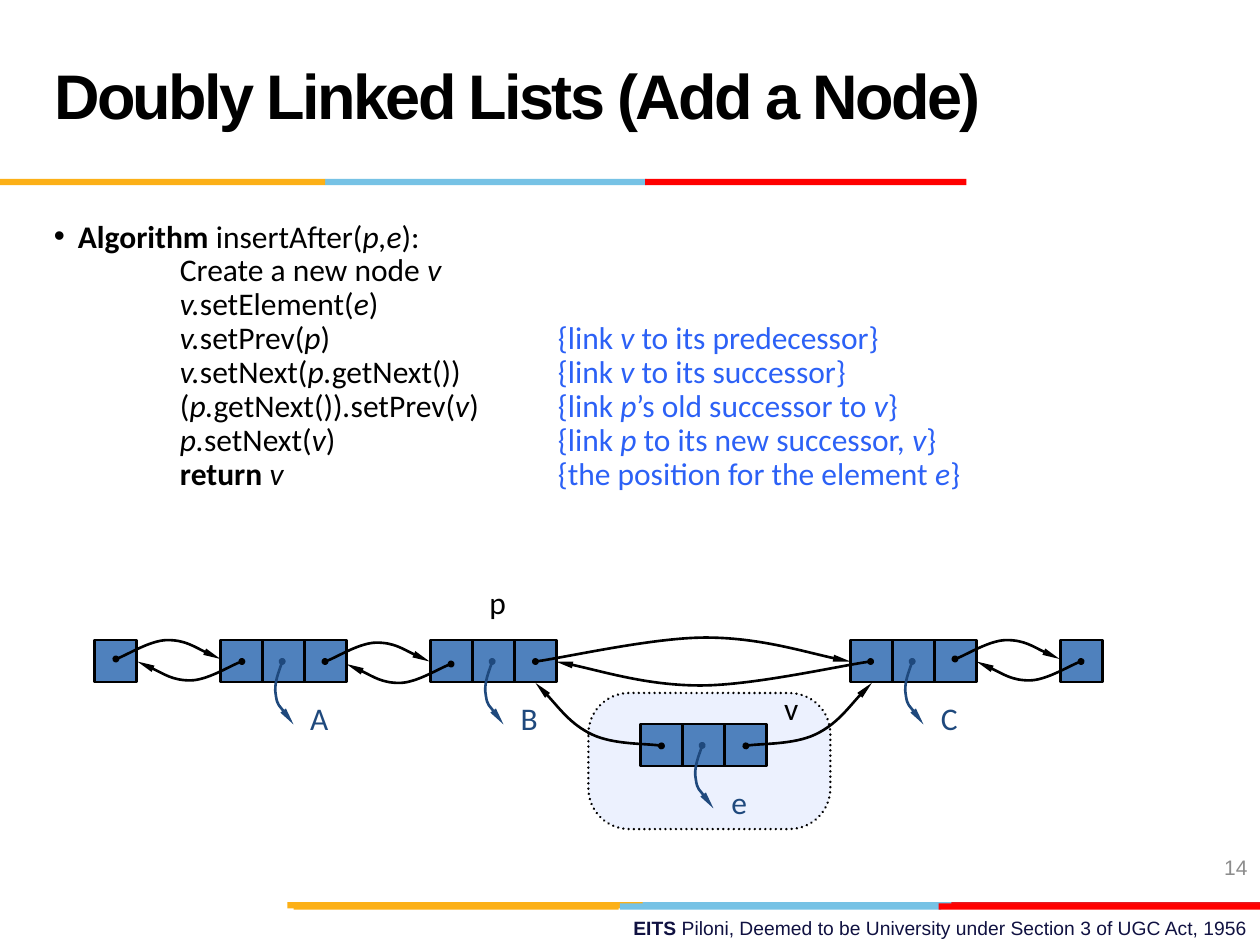
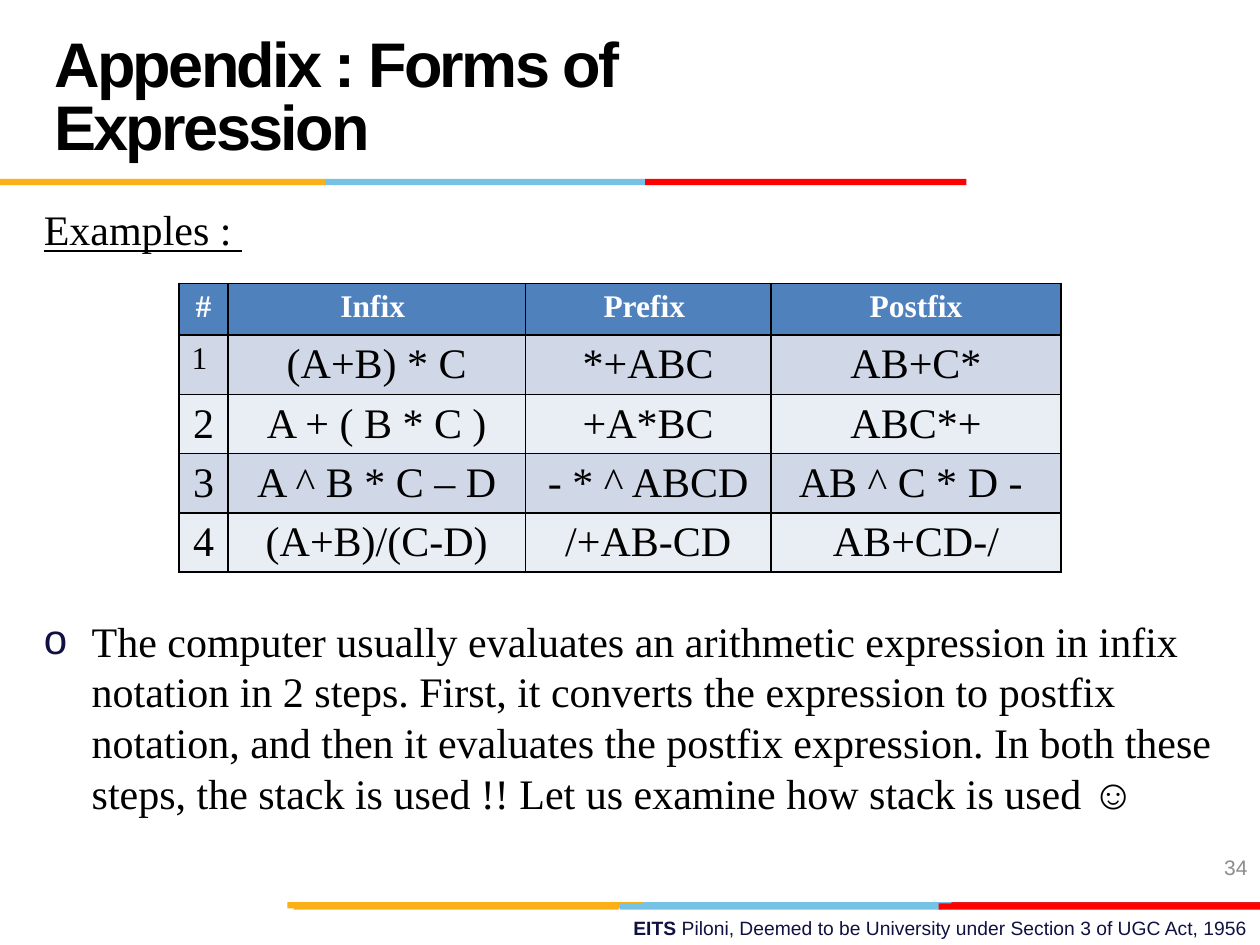
"""Build two lecture slides: list insertion and forms of expression."""
import lxml.etree
import pptx
import pptx.dml.color
import pptx.enum.dml
import pptx.enum.shapes
import pptx.enum.text
import pptx.oxml.ns
import pptx.util

Inches, Pt = pptx.util.Inches, pptx.util.Pt
RGBColor = pptx.dml.color.RGBColor
SHAPE = pptx.enum.shapes.MSO_SHAPE
ALIGN = pptx.enum.text.PP_ALIGN
ANCHOR = pptx.enum.text.MSO_ANCHOR
FIT = pptx.enum.text.MSO_AUTO_SIZE

BLACK = RGBColor(0x00, 0x00, 0x00)
WHITE = RGBColor(0xFF, 0xFF, 0xFF)
GOLD = RGBColor(0xFC, 0xB0, 0x17)
SKY = RGBColor(0x76, 0xC2, 0xE5)
RED = RGBColor(0xFF, 0x00, 0x00)
CRIMSON = RGBColor(0xE3, 0x1C, 0x24)
INK = RGBColor(0x10, 0x11, 0x41)
GRAY = RGBColor(0x8C, 0x8C, 0x8C)
NOTE = RGBColor(0x2C, 0x61, 0xF6)
NAVY = RGBColor(0x1F, 0x49, 0x7D)
STEEL = RGBColor(0x4F, 0x81, 0xBD)
PALE = RGBColor(0xEC, 0xF1, 0xFE)
BANDS = (RGBColor(0xD0, 0xD8, 0xE8), RGBColor(0xE9, 0xED, 0xF4))
SANS, BODY, SERIF = "Arial", "Calibri", "Times New Roman"

STRIPS = [
    (7.16, [(5.06, 2.55, SKY), (7.55, 2.45, CRIMSON), (2.28, 2.82, GOLD)]),
    (7.17, [(4.92, 2.55, SKY), (2.33, 2.58, GOLD), (7.45, 2.55, RED)]),
    (1.42, [(2.58, 2.55, SKY), (0, 2.58, GOLD), (5.12, 2.55, RED)]),
]
CODE = [
    ("", "Create a new node _v_", ""),
    ("", "_v._setElement(_e_)", ""),
    ("", "_v._setPrev(_p_)", "{link _v _to its predecessor}"),
    ("", "_v._setNext(_p._getNext())", "{link _v _to its successor}"),
    ("", "(_p._getNext())_._setPrev(_v_)", "{link _p_’s old successor to _v_}"),
    ("", "_p._setNext(_v_)", "{link _p _to its new successor, _v_}"),
    ("return ", "_v_", "{the position for the element _e_}"),
]
FORMS = [
    ("#", "Infix ", "Prefix ", "Postfix"),
    ("1", "(A+B) * C", "*+ABC", "AB+C*"),
    ("2", "A + ( B * C )", "+A*BC", "ABC*+"),
    ("3", "A ^ B * C – D", "- * ^ ABCD", "AB ^ C * D - "),
    ("4", "(A+B)/(C-D)", "/+AB-CD", "AB+CD-/"),
]
STEPS = ("The computer usually evaluates an arithmetic expression in infix notation in 2 steps. "
         "First, it converts the expression to postfix notation, and then it evaluates the postfix "
         "expression. In both these steps, the stack is used !! Let us examine how stack is used ☺")

SIDE = 1 / 3
ARC = [(0, 0), (.07, -.02), (.28, -.15), (.41, -.15), (.55, -.15), (.75, -.03), (.83, 0)]
SPAN = [(0, 0), (.23, -.03), (.94, -.19), (1.35, -.19), (1.77, -.19), (2.26, -.04), (2.5, 0)]
RISE = [(0, 0), (.09, -.02), (.38, -.01), (.55, -.09), (.72, -.17), (.91, -.42), (1, -.5)]
HOOK = [(0, 0), (-.01, .04), (-.07, .18), (-.05, .27), (-.04, .35), (.06, .45), (.09, .5)]


def add_tag(parent, name, **attrs):
    """Append a DrawingML element and return it."""
    return lxml.etree.SubElement(parent, pptx.oxml.ns.qn("a:" + name), attrs)


def style(run, font, size, color, bold=False):
    """Set the font of one run."""
    run.font.name, run.font.size, run.font.bold = font, Pt(size), bold
    run.font.color.rgb = color


def add_run(par, text, font, size, color, bold=False):
    """Add a styled run to a paragraph."""
    run = par.add_run()
    run.text = text
    style(run, font, size, color, bold)
    return run


def add_code(par, text, color):
    """Add text in which underscores switch italics on and off."""
    for i, part in enumerate(text.split("_")):
        if part:
            add_run(par, part, BODY, 18, color).font.italic = i % 2 == 1


def add_box(slide, x, y, w, h, align=ALIGN.LEFT):
    """Add a wrapping text box and return its frame."""
    frame = slide.shapes.add_textbox(Inches(x), Inches(y), Inches(w), Inches(h)).text_frame
    frame.word_wrap = True
    frame.paragraphs[0].alignment = align
    return frame


def add_block(slide, x, y, w, h, fill, kind=SHAPE.RECTANGLE, edge=None):
    """Add a filled shape, outlined when an edge colour is given."""
    shape = slide.shapes.add_shape(kind, Inches(x), Inches(y), Inches(w), Inches(h))
    shape.shadow.inherit = False
    shape.fill.solid()
    shape.fill.fore_color.rgb = fill
    if edge is None:
        shape.line.fill.background()
    else:
        shape.line.color.rgb, shape.line.width = edge, Pt(1.5)
    return shape


def add_bullet(par, mark, indent, color):
    """Give a paragraph a hanging bullet."""
    props = par._p.get_or_add_pPr()
    props.set("marL", str(Inches(indent)))
    props.set("indent", str(-Inches(indent)))
    add_tag(add_tag(props, "buClr"), "srgbClr", val=str(color))
    add_tag(props, "buFont", typeface=SANS)
    add_tag(props, "buChar", char=mark)


def add_frame(deck, title, width, number):
    """Add a slide with its title, bands, footer and number."""
    slide = deck.slides.add_slide(deck.slide_layouts[5])
    for y, parts in STRIPS:
        for x, w, color in parts:
            add_block(slide, x, y, w, 0.05, color)
    head = slide.shapes.title
    head.left, head.top, head.width, head.height = map(Inches, (0.33, 0.17, width, 1.25))
    frame = head.text_frame
    frame.text = title
    frame.auto_size, frame.vertical_anchor = FIT.NONE, ANCHOR.MIDDLE
    par = frame.paragraphs[0]
    par.alignment, par.line_spacing = ALIGN.LEFT, Pt(36)
    style(par.runs[0], SANS, 36, BLACK, True)
    par.runs[0]._r.get_or_add_rPr().set("spc", "-150")
    foot = add_box(slide, 3.58, 7.22, 6.42, 0.28, ALIGN.RIGHT).paragraphs[0]
    add_run(foot, "EITS ", SANS, 11, INK, True)
    add_run(foot, "Piloni, Deemed to be University under Section 3 of UGC Act, 1956", SANS, 11, INK)
    page = add_box(slide, 7.67, 6.68, 2.33, 0.4, ALIGN.RIGHT)
    page.vertical_anchor = ANCHOR.MIDDLE
    add_run(page.paragraphs[0], number, SANS, 12, GRAY)
    return slide


def add_steps(slide, x, y, w, h):
    """Write the algorithm with its notes in a second column."""
    frame = add_box(slide, x, y, w, h)
    par = frame.paragraphs[0]
    add_bullet(par, "•", 0.19, BLACK)
    add_run(par, "Algorithm ", BODY, 18, BLACK, True)
    add_code(par, "insertAfter(_p,e_):", BLACK)
    for bold, code, note in CODE:
        par = frame.add_paragraph()
        par.line_spacing = 0.9
        tabs = add_tag(par._p.get_or_add_pPr(), "tabLst")
        for stop in (1, 4):
            add_tag(tabs, "tab", pos=str(Inches(stop)), algn="l")
        add_run(par, "\t" + bold, BODY, 18, BLACK, True)
        add_code(par, code, BLACK)
        if note:
            add_code(par, "\t" + note, NOTE)


def smooth(curve):
    """Turn each three line segments of a freeform into one cubic curve."""
    lines = list(curve._element.iter(pptx.oxml.ns.qn("a:lnTo")))
    for i in range(0, len(lines), 3):
        cubic = add_tag(lines[i].getparent(), "cubicBezTo")
        for line in lines[i:i + 3]:
            cubic.append(line[0])
            line.getparent().remove(line)


def add_curve(slide, x, y, points, sx=1, sy=1, color=BLACK):
    """Draw a curve from a dot to an arrowhead, mirrored by its signs."""
    dots = [(Inches(x + sx * a), Inches(y + sy * b)) for a, b in points]
    pen = slide.shapes.build_freeform(*dots[0])
    pen.add_line_segments(dots[1:], close=False)
    curve = pen.convert_to_shape()
    smooth(curve)
    curve.shadow.inherit = False
    curve.fill.background()
    curve.line.color.rgb, curve.line.width = color, Pt(1.5)
    line = curve.line._get_or_add_ln()
    add_tag(line, "headEnd", type="oval", w="sm", len="sm")
    add_tag(line, "tailEnd", type="triangle", w="sm", len="lg")


def add_label(slide, x, y, text, color):
    """Write one centred letter."""
    par = add_box(slide, x, y, 0.4, 0.4, ALIGN.CENTER).paragraphs[0]
    add_run(par, text, BODY, 18, color)


def add_node(slide, x, y, text):
    """Draw a node of three cells, or a single end cell without text."""
    for i in range(3 if text else 1):
        add_block(slide, x + i * SIDE, y, SIDE, SIDE, STEEL, edge=BLACK)
    if text:
        add_curve(slide, x + 0.49, y + 0.17, HOOK, color=NAVY)
        add_label(slide, x + 1.75 * SIDE, y + 1.25 * SIDE, text, NAVY)


def add_chain(slide, x, y):
    """Draw the linked list and the new node below it."""
    halo = add_block(slide, x + 3.92, y + 0.42, 1.92, 1.08, PALE, SHAPE.ROUNDED_RECTANGLE, BLACK)
    halo.adjustments[0] = 0.3
    halo.line.dash_style = pptx.enum.dml.MSO_LINE.ROUND_DOT
    halo.line._get_or_add_ln().set("cap", "rnd")
    nodes = [(0, 0, ""), (3, 0, "A"), (8, 0, "B"), (18, 0, "C"), (23, 0, ""), (13, 2, "e")]
    for col, row, text in nodes:
        add_node(slide, x + col * SIDE, y + row * SIDE, text)
    for left, top in ((0.17, 0.15), (1.83, 0.17), (6.83, 0.15)):
        add_curve(slide, x + left, y + top, ARC)
        add_curve(slide, x + left + 1, y + top + 0.02, ARC, -1, -1)
    add_curve(slide, x + 3.5, y + 0.17, SPAN)
    add_curve(slide, x + 6.16, y + 0.17, SPAN, -1, -1)
    add_curve(slide, x + 4.5, y + 0.84, RISE, -1)
    add_curve(slide, x + 5.17, y + 0.84, RISE)
    add_label(slide, x + 3, y - 0.5, "p", BLACK)
    add_label(slide, x + 5.33, y + 0.34, "v", BLACK)


def add_forms(slide, x, y, w, h):
    """Fill the table of notations."""
    table = slide.shapes.add_table(len(FORMS), 4, Inches(x), Inches(y), Inches(w), Inches(h)).table
    for col, width in zip(table.columns, (0.39, 2.36, 1.95, 2.3)):
        col.width = Inches(width)
    for r, row in enumerate(FORMS):
        for c, text in enumerate(row):
            cell = table.cell(r, c)
            cell.margin_bottom = Inches(0.02)
            props = cell._tc.get_or_add_tcPr()
            for side in ("lnL", "lnR", "lnT", "lnB"):
                edge = add_tag(props, side, w=str(Pt(1)))
                add_tag(add_tag(edge, "solidFill"), "srgbClr", val=str(BLACK))
            cell.fill.solid()
            cell.fill.fore_color.rgb = BANDS[(r - 1) % 2] if r else STEEL
            cell.text_frame.text = text
            par = cell.text_frame.paragraphs[0]
            first = (r, c) == (1, 0)
            par.alignment = ALIGN.LEFT if first else ALIGN.CENTER
            size = 18 if first or r == 0 else 24
            style(par.runs[0], SERIF, size, BLACK if r else WHITE, r == 0)


def add_prose(slide, x, y, w):
    """Write the heading above the table and the remark below it."""
    par = add_box(slide, x, y, w, 0.5).paragraphs[0]
    add_run(par, "Examples : ", SERIF, 24, BLACK).font.underline = True
    par = add_box(slide, x, y + 3.26, w, 1.8).paragraphs[0]
    par.line_spacing = Pt(29)
    add_bullet(par, "o", 0.38, INK)
    add_run(par, STEPS, SERIF, 24, BLACK)


def main():
    """Build and save the deck."""
    deck = pptx.Presentation()
    deck.slide_width, deck.slide_height = Inches(10), Inches(7.5)
    slide = add_frame(deck, "Doubly Linked Lists (Add a Node)", 8.33, "14")
    add_steps(slide, 0.33, 1.67, 7.68, 2.75)
    add_chain(slide, 0.75, 5.08)
    slide = add_frame(deck, "Appendix : Forms of Expression", 6.92, "34")
    add_prose(slide, 0.25, 1.57, 9.5)
    add_forms(slide, 1.42, 2.25, 7, 2.05)
    deck.save("out.pptx")


if __name__ == "__main__":
    main()
